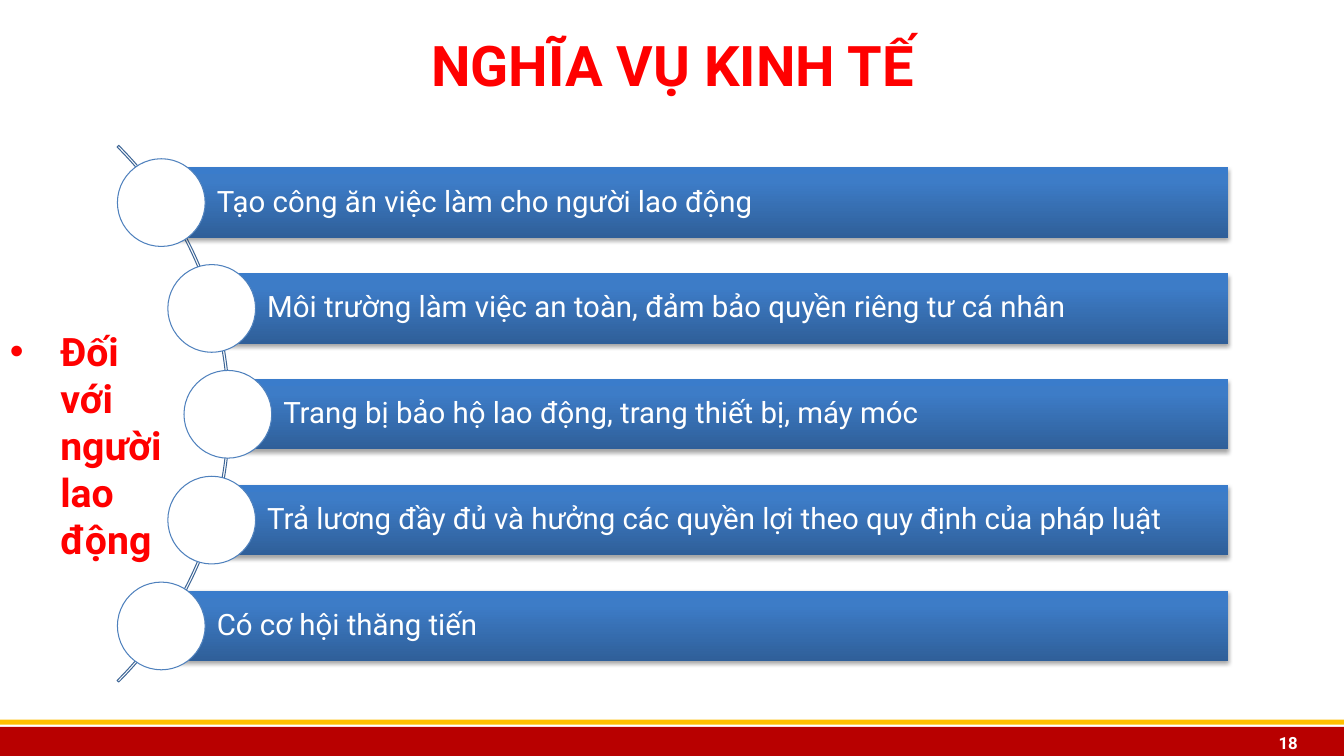
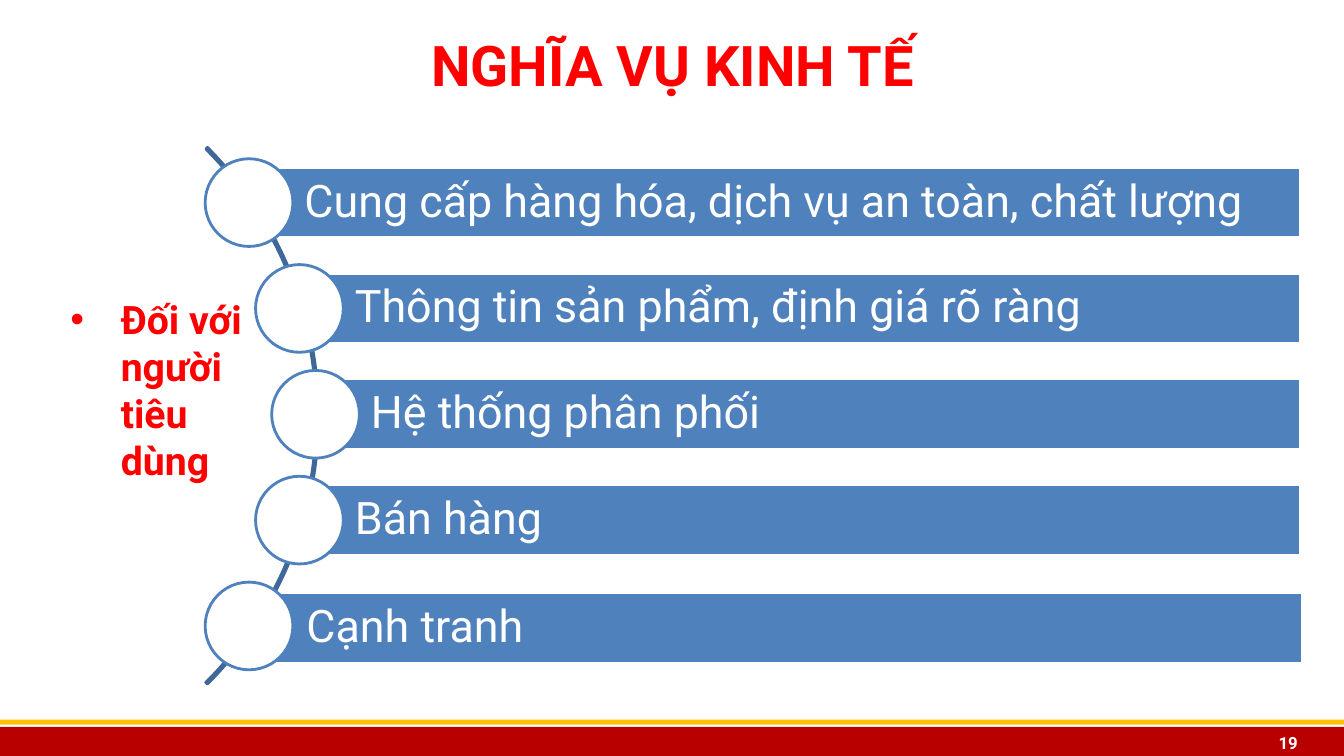
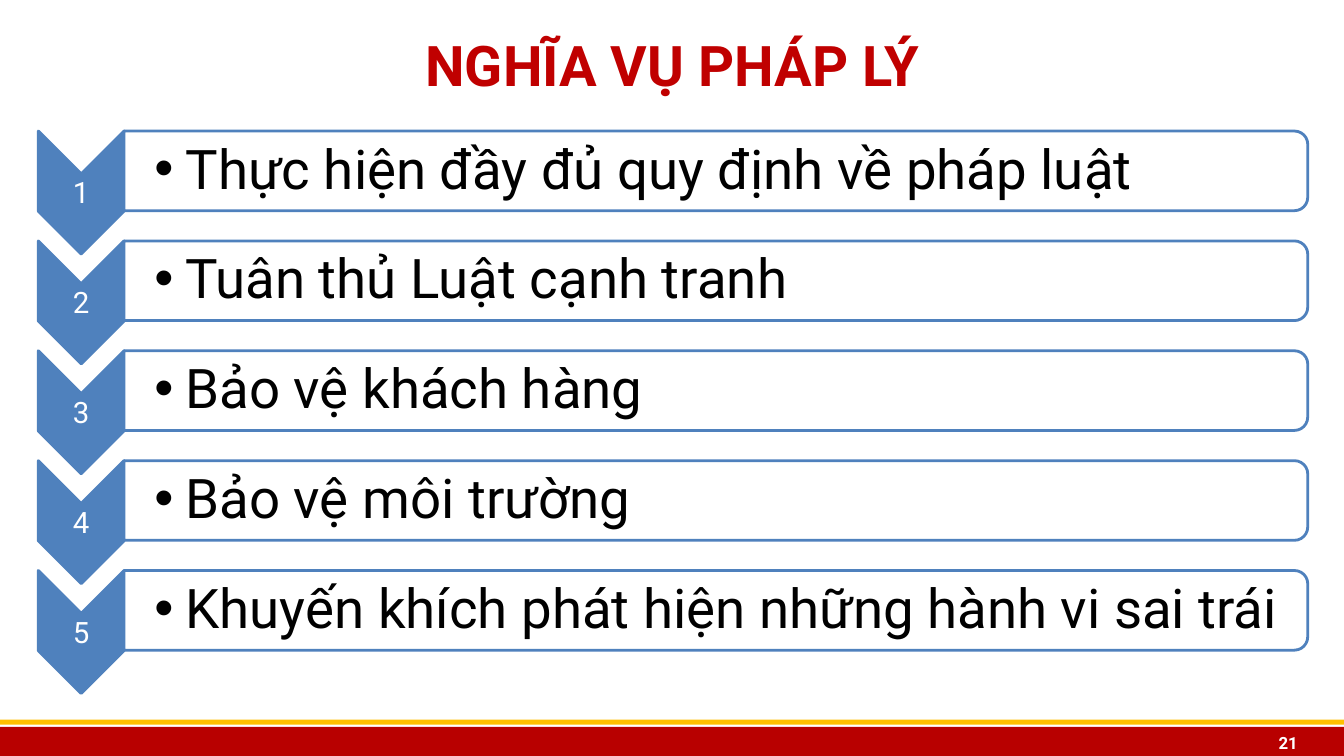
"""Three slides on the economic and legal duties of a business."""
import copy

import pptx
import pptx.dml.color
import pptx.enum.shapes
import pptx.enum.text
import pptx.oxml
import pptx.oxml.ns
import pptx.util
from pptx.util import Inches

SHAPE = pptx.enum.shapes.MSO_SHAPE
ALIGN = pptx.enum.text.PP_ALIGN
ANCHOR = pptx.enum.text.MSO_ANCHOR
FONT = "Roboto"
COLORS = {
    "white": "FFFFFF", "black": "000000", "red": "FF0000", "dark_red": "C00000",
    "band": "B80000", "gold": "FFC000", "blue": "4F81BD", "arc": "3F6797",
}
BAR_GRADIENT = [(0, "2F5F99"), (0.8, "3D7CC7"), (1, "3A7CCB")]

CURVED_LISTS = [
    {
        "title": "NGHĨA VỤ KINH TẾ", "number": "18",
        "items": [
            "Tạo công ăn việc làm cho người lao động",
            "Môi trường làm việc an toàn, đảm bảo quyền riêng tư cá nhân",
            "Trang bị bảo hộ lao động, trang thiết bị, máy móc",
            "Trả lương đầy đủ và hưởng các quyền lợi theo quy định của pháp luật",
            "Có cơ hội thăng tiến",
        ],
        "audience": "Đối với người lao động", "audience_box": (0, 3.2, 1.83, 2.46),
        "audience_align": ALIGN.JUSTIFY,
        "left": 1.6, "right": 12.18, "arc": (-5.25, 0.34), "size": 21, "inset": 0.06,
        "line_width": 0.75, "gradient": True, "last_shift": (0, 0),
    },
    {
        "title": "NGHĨA VỤ KINH TẾ", "number": "19",
        "items": [
            "Cung cấp hàng hóa, dịch vụ an toàn, chất lượng",
            "Thông tin sản phẩm, định giá rõ ràng",
            "Hệ thống phân phối",
            "Bán hàng",
            "Cạnh tranh",
        ],
        "audience": "Đối với người tiêu dùng", "audience_box": (0.6, 2.88, 1.97, 2.46),
        "audience_align": ALIGN.LEFT,
        "left": 2.47, "right": 12.9, "arc": (-4.37, 0.36), "size": 32, "inset": 0.09,
        "line_width": 2, "gradient": False, "last_shift": (0.02, 0.02),
    },
]
CHEVRON_LIST = {
    "title": "NGHĨA VỤ PHÁP LÝ", "number": "21",
    "items": [
        "Thực hiện đầy đủ quy định về pháp luật",
        "Tuân thủ Luật cạnh tranh",
        "Bảo vệ khách hàng",
        "Bảo vệ môi trường",
        "Khuyến khích phát hiện những hành vi sai trái",
    ],
}
BAR_OFFSETS = [0, 0.5, 0.66, 0.5, 0]
BAR_TOP, BAR_HEIGHT, BAR_PITCH = 1.66, 0.7, 1.05
CIRCLE_SIZE, ARC_SIZE = 0.87, 7.53
CHEVRON_TOP, CHEVRON_PITCH = 1.3, 1.09


def rgb(name):
    return pptx.dml.color.RGBColor.from_string(COLORS.get(name, name))


def add_shape(slide, kind, box, fill=None, line=None, width=0.75, rotated=False):
    left, top, wide, high = box
    if rotated:
        left, top = left + (wide - high) / 2, top + (high - wide) / 2
        wide, high = high, wide
    shape = slide.shapes.add_shape(kind, *map(Inches, (left, top, wide, high)))
    shape.rotation = 90 if rotated else 0
    shape.shadow.inherit = False
    if fill:
        shape.fill.solid()
        shape.fill.fore_color.rgb = rgb(fill)
    else:
        shape.fill.background()
    if line:
        shape.line.color.rgb = rgb(line)
        shape.line.width = pptx.util.Pt(width)
    else:
        shape.line.fill.background()
    return shape


def add_bullet(paragraph, indent, color):
    properties = paragraph._p.get_or_add_pPr()
    properties.set("marL", str(Inches(indent)))
    properties.set("indent", str(-Inches(indent)))
    namespace = pptx.oxml.ns.nsdecls("a")
    for xml in (
        f'<a:buClr {namespace}><a:srgbClr val="{COLORS[color]}"/></a:buClr>',
        f'<a:buFont {namespace} typeface="Arial"/>',
        f'<a:buChar {namespace} char="•"/>',
    ):
        properties.append(pptx.oxml.parse_xml(xml))


def write(shape, text, size, color, align=ALIGN.LEFT, bold=False, insets=(0.1, 0.05, 0.1, 0.05),
          anchor=ANCHOR.MIDDLE, spacing=None, indent=None):
    frame = shape.text_frame
    frame.word_wrap = True
    frame.vertical_anchor = anchor
    frame.margin_left, frame.margin_top, frame.margin_right, frame.margin_bottom = map(Inches, insets)
    paragraph = frame.paragraphs[0]
    paragraph.text = text
    if indent:
        add_bullet(paragraph, indent, color)
    paragraph.alignment = align
    paragraph.line_spacing = spacing
    paragraph.font.name = FONT
    paragraph.font.size = pptx.util.Pt(size)
    paragraph.font.bold = bold
    paragraph.font.color.rgb = rgb(color)


def add_text(slide, box, *args, **options):
    write(slide.shapes.add_textbox(*map(Inches, box)), *args, **options)


def add_slide(presentation, content, title_color):
    slide = presentation.slides.add_slide(presentation.slide_layouts[6])
    add_shape(slide, SHAPE.RECTANGLE, (0, 7.21, 13.33, 0.31), "band")
    add_shape(slide, SHAPE.RECTANGLE, (-0.01, 7.14, 13.36, 0.05), "gold")
    add_text(slide, (0.37, 0.05, 12.6, 1.18), content["title"], 40, title_color, ALIGN.CENTER, True)
    add_text(slide, (12.1, 7.21, 0.87, 0.31), content["number"], 12, "white", ALIGN.RIGHT, True,
             (0.1, 0, 0.1, 0))
    return slide


def add_gradient_and_shadow(bar):
    bar.fill.gradient()
    bar.fill.gradient_angle = 90
    properties = bar._element.spPr
    stop_list = properties.find(".//" + pptx.oxml.ns.qn("a:gsLst"))
    stop_list.append(copy.deepcopy(stop_list[0]))
    for stop, (position, color) in zip(bar.fill.gradient_stops, BAR_GRADIENT):
        stop.position = position
        stop.color.rgb = rgb(color)
    properties.find(pptx.oxml.ns.qn("a:effectLst")).append(pptx.oxml.parse_xml(
        f'<a:outerShdw {pptx.oxml.ns.nsdecls("a")} blurRad="{pptx.util.Pt(3.1)}" '
        f'dist="{pptx.util.Pt(1.8)}" dir="5400000" rotWithShape="0">'
        '<a:srgbClr val="000000"><a:alpha val="35000"/></a:srgbClr></a:outerShdw>'))


def add_curved_list(presentation, content):
    slide = add_slide(presentation, content, "red")
    width, inset = content["line_width"], content["inset"]
    arc = add_shape(slide, SHAPE.BLOCK_ARC, (*content["arc"], ARC_SIZE, ARC_SIZE), None, "arc", width)
    for index, value in enumerate((189, 27, 0.003)):
        arc.adjustments[index] = value
    last = len(content["items"]) - 1
    for index, (item, offset) in enumerate(zip(content["items"], BAR_OFFSETS)):
        left, top = content["left"] + offset, BAR_TOP + index * BAR_PITCH
        shift_x, shift_y = content["last_shift"] if index == last else (0, 0)
        box = (left + shift_x, top + shift_y, content["right"] - left, BAR_HEIGHT)
        outline = None if content["gradient"] else "white"
        bar = add_shape(slide, SHAPE.RECTANGLE, box, "blue", outline, width)
        if content["gradient"]:
            add_gradient_and_shadow(bar)
        write(bar, item, content["size"], "white", insets=(0.55, inset, inset, inset), spacing=0.9)
        circle_top = top + (BAR_HEIGHT - CIRCLE_SIZE) / 2
        add_shape(slide, SHAPE.OVAL, (left - CIRCLE_SIZE / 2, circle_top, CIRCLE_SIZE, CIRCLE_SIZE),
                  "white", "blue", width)
    add_text(slide, content["audience_box"], content["audience"], 28, "red",
             content["audience_align"], True, anchor=ANCHOR.TOP, indent=0.5)


def add_chevron_list(presentation, content):
    slide = add_slide(presentation, content, "dark_red")
    for index, item in enumerate(content["items"]):
        top = CHEVRON_TOP + index * CHEVRON_PITCH
        add_shape(slide, SHAPE.CHEVRON, (0.38, top, 0.85, 1.22), "blue", "blue", 2, rotated=True)
        add_text(slide, (0.38, top + 0.44, 0.85, 0.37), str(index + 1), 21, "white", ALIGN.CENTER,
                 insets=(0.01,) * 4, spacing=0.9)
        add_shape(slide, SHAPE.ROUND_2_SAME_RECTANGLE, (1.23, top, 11.74, 0.79), "white", "blue", 2,
                  rotated=True)
        add_text(slide, (1.23, top + 0.04, 11.71, 0.72), item, 39, "black",
                 insets=(0.3, 0.03, 0.03, 0.03), spacing=0.9, indent=0.31)


def main():
    presentation = pptx.Presentation()
    presentation.slide_width, presentation.slide_height = Inches(13.33), Inches(7.5)
    for content in CURVED_LISTS:
        add_curved_list(presentation, content)
    add_chevron_list(presentation, CHEVRON_LIST)
    presentation.save("out.pptx")


if __name__ == "__main__":
    main()
